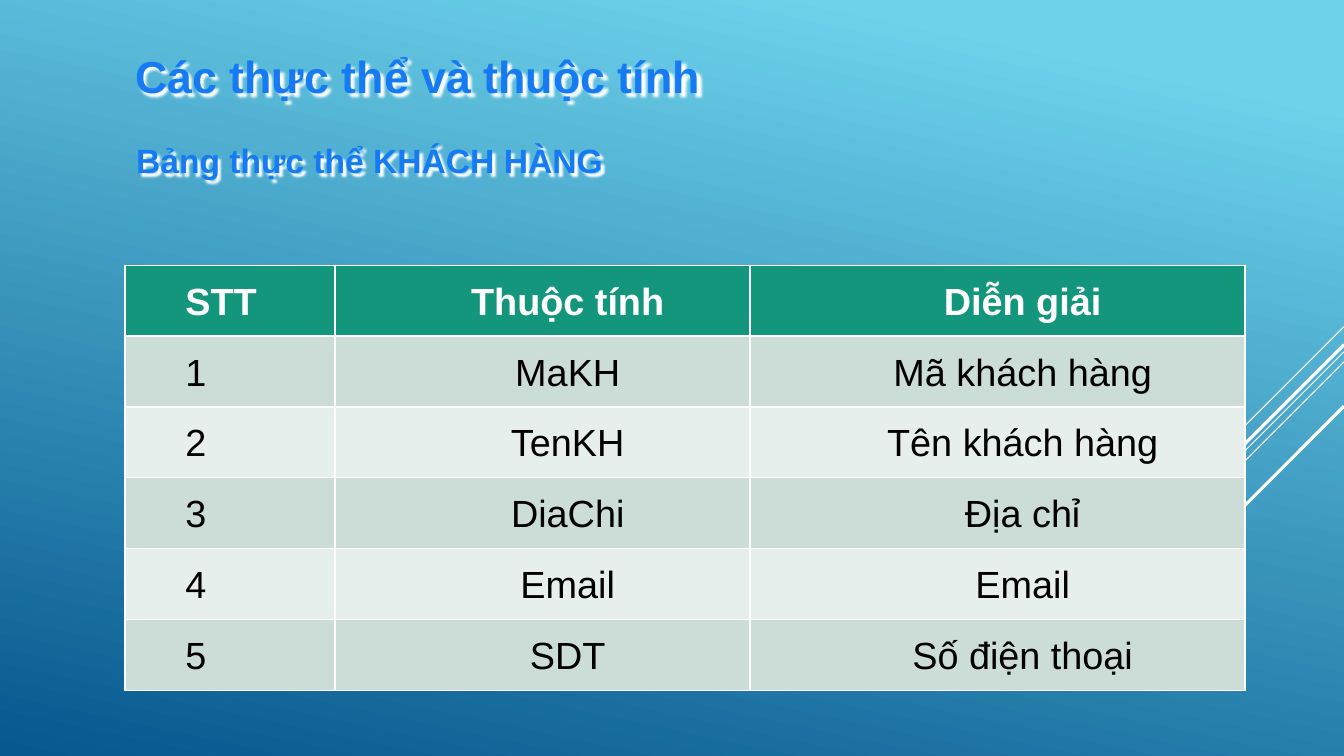
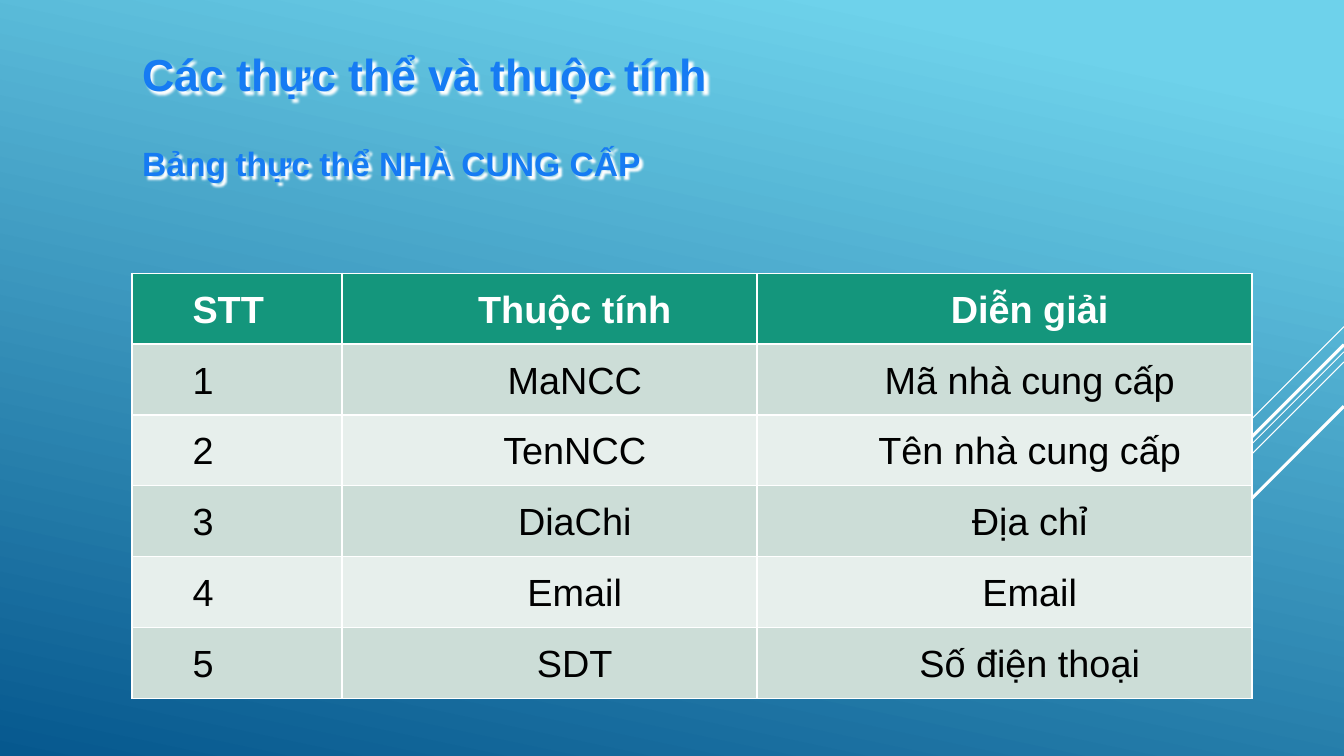
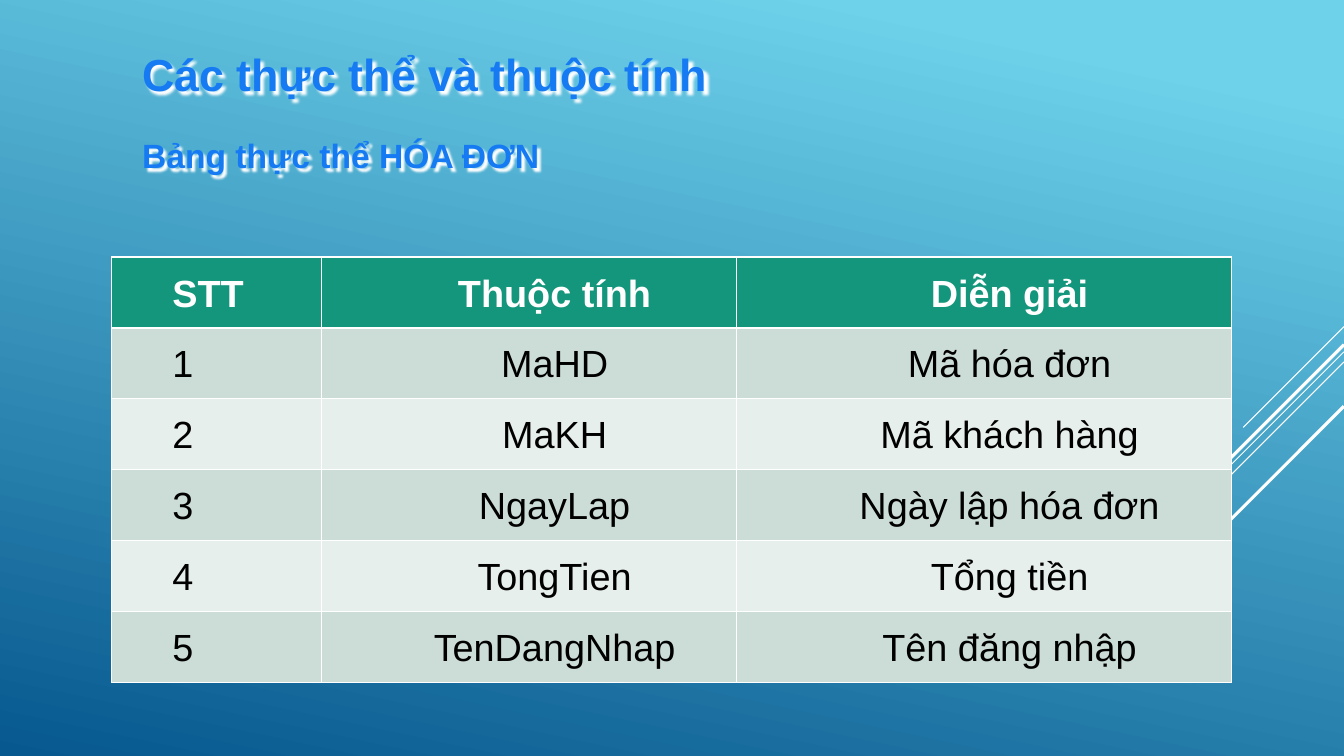
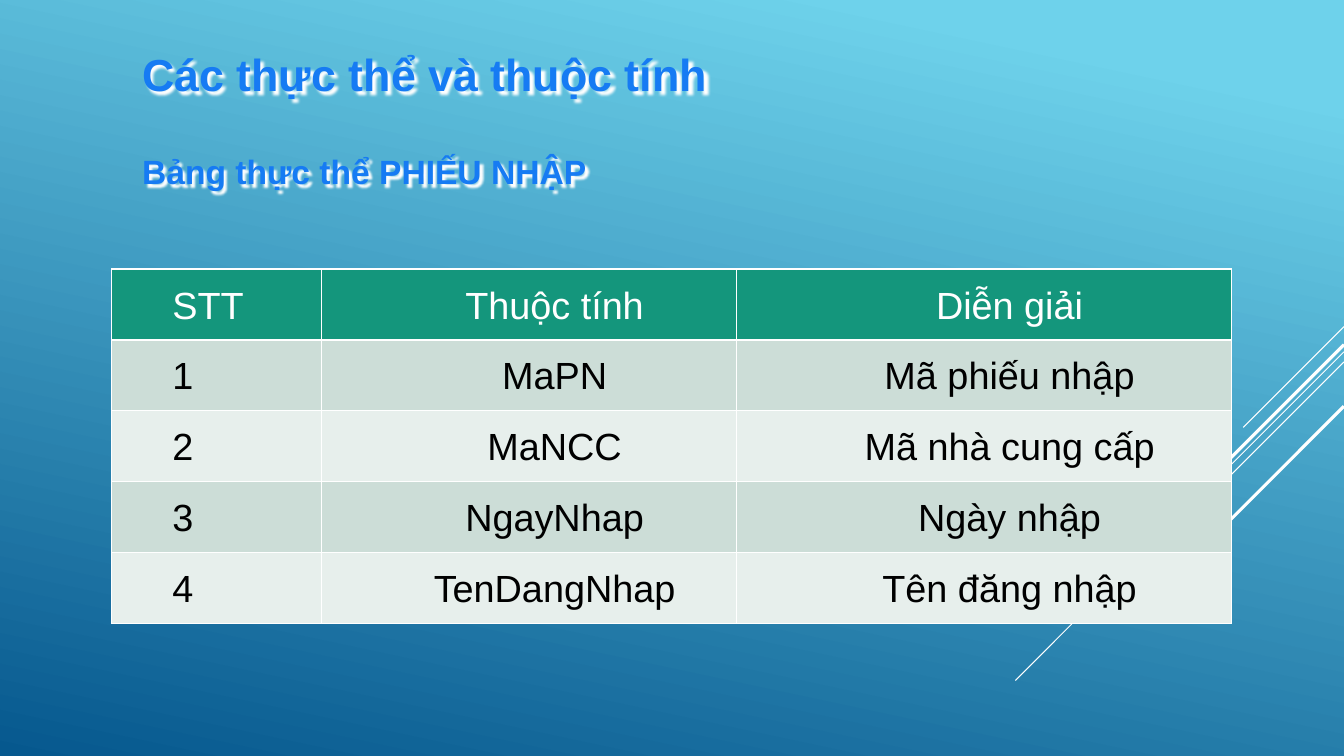
from lxml import etree
from pptx import Presentation
from pptx.dml.color import RGBColor
from pptx.enum import shapes, text
from pptx.oxml import ns
from pptx.util import Pt

COLORS = {
    "sky": "6ED2EB",
    "deep": "06588E",
    "heading": "167BF3",
    "header": "14967C",
    "odd": "CCDDD7",
    "even": "E7EFEC",
    "white": "FFFFFF",
    "black": "000000",
}
FONT = "Arial"
SLIDE_WIDTH, SLIDE_HEIGHT = 960, 540
HEADING_WIDTH = 481
COLUMN_WIDTHS = (150, 296.5, 353.5)
ROW_HEIGHT = 50.64
TITLE = "Các thực thể và thuộc tính"
HEADER = ("STT", "Thuộc tính", "Diễn giải")
# Diagonal rays: start height on the right edge, horizontal run, line width
RAYS = (
    (233.3, 72, 0.75),
    (251.3, 234.7, 0.75),
    (258.5, 149, 0.75),
    (246.2, 137.5, 2.25),
    (290.2, 100, 2.25),
)
# One entity table per slide; positions are (left, top)
ENTITIES = (
    {
        "name": "KHÁCH HÀNG", "title_at": (89.3, 31), "name_at": (90, 96.5),
        "table_at": (89.3, 189.4), "bold_header": True,
        "attributes": (("MaKH", "Mã khách hàng"), ("TenKH", "Tên khách hàng"),
                       ("DiaChi", "Địa chỉ"), ("Email", "Email"),
                       ("SDT", "Số điện thoại")),
    },
    {
        "name": "NHÀ CUNG CẤP", "title_at": (94.3, 29.5), "name_at": (94.3, 98.6),
        "table_at": (94.3, 195.1), "bold_header": True,
        "attributes": (("MaNCC", "Mã nhà cung cấp"), ("TenNCC", "Tên nhà cung cấp"),
                       ("DiaChi", "Địa chỉ"), ("Email", "Email"),
                       ("SDT", "Số điện thoại")),
    },
    {
        "name": "HÓA ĐƠN", "title_at": (94.3, 29.5), "name_at": (94.3, 92.9),
        "table_at": (79.9, 183.6), "bold_header": True,
        "attributes": (("MaHD", "Mã hóa đơn"), ("MaKH", "Mã khách hàng"),
                       ("NgayLap", "Ngày lập hóa đơn"), ("TongTien", "Tổng tiền"),
                       ("TenDangNhap", "Tên đăng nhập")),
    },
    {
        "name": "PHIẾU NHẬP", "title_at": (94.3, 29.5), "name_at": (94.3, 104.4),
        "table_at": (79.9, 192.2), "bold_header": False,
        "attributes": (("MaPN", "Mã phiếu nhập"), ("MaNCC", "Mã nhà cung cấp"),
                       ("NgayNhap", "Ngày nhập"), ("TenDangNhap", "Tên đăng nhập")),
    },
)


def rgb(color):
    return RGBColor.from_string(COLORS[color])


def add_xml(parent, tag, **attributes):
    return etree.SubElement(parent, ns.qn(tag), attributes)


def add_run(paragraph, words, size, color, bold):
    run = paragraph.add_run()
    run.text = words
    run.font.name = FONT
    run.font.size = Pt(size)
    run.font.bold = bold
    run.font.color.rgb = rgb(color)


# Shared background and rays
def paint_background(master):
    fill = master.background.fill
    fill.gradient()
    fill.gradient_angle = 258
    for stop, position, color in zip(fill.gradient_stops, (0.1, 1), ("sky", "deep")):
        stop.position = position
        stop.color.rgb = rgb(color)


def add_rays(slide, master):
    """Draw the rays and move them behind everything on the master."""
    for index, (top, run, width) in enumerate(RAYS):
        ray = slide.shapes.add_connector(
            shapes.MSO_CONNECTOR.STRAIGHT, Pt(SLIDE_WIDTH), Pt(top),
            Pt(SLIDE_WIDTH - run), Pt(top + run))
        ray.line.color.rgb = rgb("white")
        ray.line.width = Pt(width)
        add_xml(ray.element.spPr, "a:effectLst")
        # The first two children of a shape tree are its properties
        master.shapes.element.insert(2 + index, ray.element)


# Headings with a white shadow
def fill_heading(placeholder, words, position, height, size):
    placeholder.left, placeholder.top = (Pt(length) for length in position)
    placeholder.width, placeholder.height = Pt(HEADING_WIDTH), Pt(height)
    effects = add_xml(placeholder.element.spPr, "a:effectLst")
    shadow = add_xml(effects, "a:outerShdw", blurRad=str(Pt(1)), dist=str(Pt(2.5)),
                     dir="2700000", algn="tl", rotWithShape="0")
    add_xml(shadow, "a:srgbClr", val=COLORS["white"])
    frame = placeholder.text_frame
    frame.word_wrap = True
    frame.auto_size = text.MSO_AUTO_SIZE.SHAPE_TO_FIT_TEXT
    frame.vertical_anchor = text.MSO_ANCHOR.TOP
    paragraph = frame.paragraphs[0]
    properties = paragraph._p.get_or_add_pPr()
    properties.set("marL", "0")
    properties.set("indent", "0")
    add_xml(properties, "a:buNone")
    paragraph.alignment = text.PP_ALIGN.LEFT
    paragraph.space_before = Pt(0)
    add_run(paragraph, words, size, "heading", True)


# Attribute table
def add_borders(cell):
    properties = cell._tc.get_or_add_tcPr()
    for side in ("a:lnL", "a:lnR", "a:lnT", "a:lnB"):
        border = add_xml(properties, side, w=str(Pt(1)))
        add_xml(add_xml(border, "a:solidFill"), "a:srgbClr", val=COLORS["white"])


def fill_cell(cell, words, fill, color, bold, centred):
    add_borders(cell)
    cell.fill.solid()
    cell.fill.fore_color.rgb = rgb(fill)
    cell.vertical_anchor = text.MSO_ANCHOR.MIDDLE
    cell.margin_left = cell.margin_right = Pt(7.2)
    cell.margin_top = cell.margin_bottom = Pt(0)
    paragraph = cell.text_frame.paragraphs[0]
    paragraph._p.get_or_add_pPr().set("marL", str(Pt(36)))
    paragraph.alignment = text.PP_ALIGN.CENTER if centred else text.PP_ALIGN.LEFT
    paragraph.line_spacing = 1.07
    add_run(paragraph, words, 27, color, bold)


def add_attribute_table(slide, position, attributes, bold_header):
    rows = [HEADER] + [(str(number), *attribute)
                       for number, attribute in enumerate(attributes, 1)]
    left, top = position
    table = slide.shapes.add_table(
        len(rows), len(HEADER), Pt(left), Pt(top),
        Pt(sum(COLUMN_WIDTHS)), Pt(ROW_HEIGHT * len(rows))).table
    for column, width in zip(table.columns, COLUMN_WIDTHS):
        column.width = Pt(width)
    for row_index, row in enumerate(rows):
        table.rows[row_index].height = Pt(ROW_HEIGHT)
        if row_index == 0:
            fill, color, bold = "header", "white", bold_header
        else:
            fill, color, bold = ("odd" if row_index % 2 else "even"), "black", False
        for column_index, words in enumerate(row):
            fill_cell(table.cell(row_index, column_index), words,
                      fill, color, bold, column_index > 0)


def add_entity_slide(deck, entity):
    slide = deck.slides.add_slide(deck.slide_layouts[1])
    fill_heading(slide.shapes.title, TITLE, entity["title_at"], 46, 32)
    fill_heading(slide.placeholders[1], "Bảng thực thể " + entity["name"],
                 entity["name_at"], 36, 24)
    add_attribute_table(slide, entity["table_at"], entity["attributes"],
                        entity["bold_header"])
    return slide


def main():
    deck = Presentation()
    deck.slide_width, deck.slide_height = Pt(SLIDE_WIDTH), Pt(SLIDE_HEIGHT)
    paint_background(deck.slide_master)
    slides = [add_entity_slide(deck, entity) for entity in ENTITIES]
    add_rays(slides[0], deck.slide_master)
    deck.save("out.pptx")


if __name__ == "__main__":
    main()
